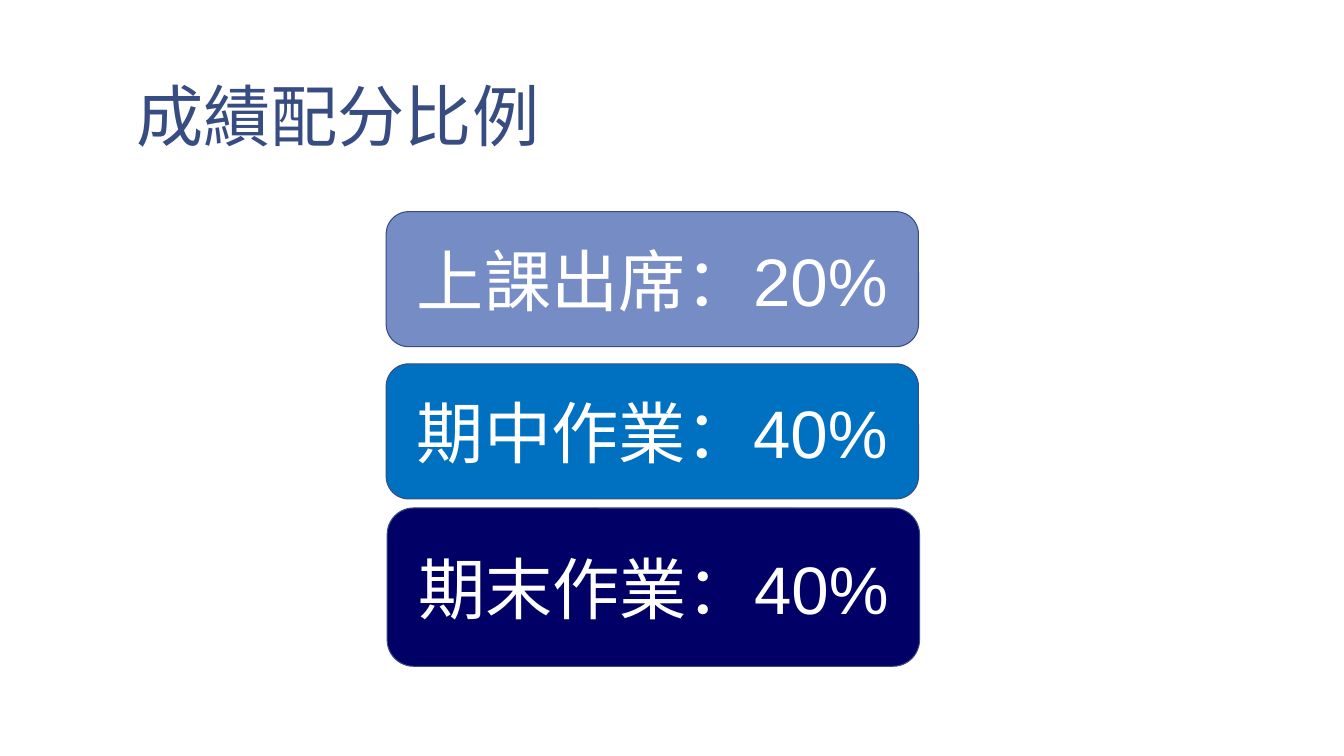
from lxml import etree
from pptx import Presentation
from pptx.dml.color import RGBColor
from pptx.enum.shapes import MSO_SHAPE
from pptx.enum.text import MSO_ANCHOR, PP_ALIGN
from pptx.oxml.ns import qn
from pptx.util import Inches, Pt

LATIN_FONT, CHINESE_FONT = "Arial", "Noto Sans CJK SC"
NAVY, WHITE = "374C81", "FFFFFF"

# Label, share of the grade, fill, left, top and height as parts of the stack
GRADE_ITEMS = [
    ("上課出席：", "20%", "768CC5", 0, 0, 1.34),
    ("期中作業：", "40%", "0070C0", 0, 1.51, 1.34),
    ("期末作業：", "40%", "000066", 0.01, 2.94, 1.57),
]


def color(hex_value):
    return RGBColor.from_string(hex_value)


def set_values(target, values):
    for name, value in values.items():
        setattr(target, name, value)


def add_text(paragraph, text, font_name, hex_value):
    run = paragraph.add_run()
    run.text = text
    set_values(run.font, {"name": font_name, "size": Pt(48), "bold": False})
    run.font.color.rgb = color(hex_value)
    east_asian = etree.SubElement(run.font._element, qn("a:ea"))
    east_asian.set("typeface", CHINESE_FONT)


def place_title(slide, left, top, width, height):
    title = slide.shapes.title
    set_values(title, {"left": Inches(left), "top": Inches(top),
                       "width": Inches(width), "height": Inches(height)})
    set_values(title.text_frame, {
        "vertical_anchor": MSO_ANCHOR.BOTTOM, "word_wrap": True,
        "margin_left": Inches(0.13), "margin_right": Inches(0.13),
        "margin_top": Inches(0.07), "margin_bottom": Inches(0.07)})
    heading = title.text_frame.paragraphs[0]
    set_values(heading, {"alignment": PP_ALIGN.LEFT, "line_spacing": 0.85})
    add_text(heading, "成績配分比例", LATIN_FONT, NAVY)


def add_grade_stack(slide, left, top, width):
    for label, share, fill, shift, offset, height in GRADE_ITEMS:
        card = slide.shapes.add_shape(
            MSO_SHAPE.ROUNDED_RECTANGLE, Inches(left + shift),
            Inches(top + offset), Inches(width), Inches(height))
        card.shadow.inherit = False
        card.fill.solid()
        card.fill.fore_color.rgb = color(fill)
        card.line.color.rgb = color(NAVY)
        card.line.width = Pt(0.75)
        set_values(card.text_frame, {"vertical_anchor": MSO_ANCHOR.MIDDLE,
                                     "word_wrap": False})
        entry = card.text_frame.paragraphs[0]
        entry.alignment = PP_ALIGN.CENTER
        add_text(entry, label, CHINESE_FONT, WHITE)
        add_text(entry, share, LATIN_FONT, WHITE)


def main():
    deck = Presentation()
    set_values(deck, {"slide_width": Inches(13.33),
                      "slide_height": Inches(7.5)})
    slide = deck.slides.add_slide(deck.slide_layouts[5])
    slide.background.fill.solid()
    slide.background.fill.fore_color.rgb = color(WHITE)

    # Heading above the stacked grade weights
    place_title(slide, 1.22, 0.08, 11.11, 1.53)
    add_grade_stack(slide, 3.83, 2.1, 5.28)
    deck.save("out.pptx")


if __name__ == "__main__":
    main()
